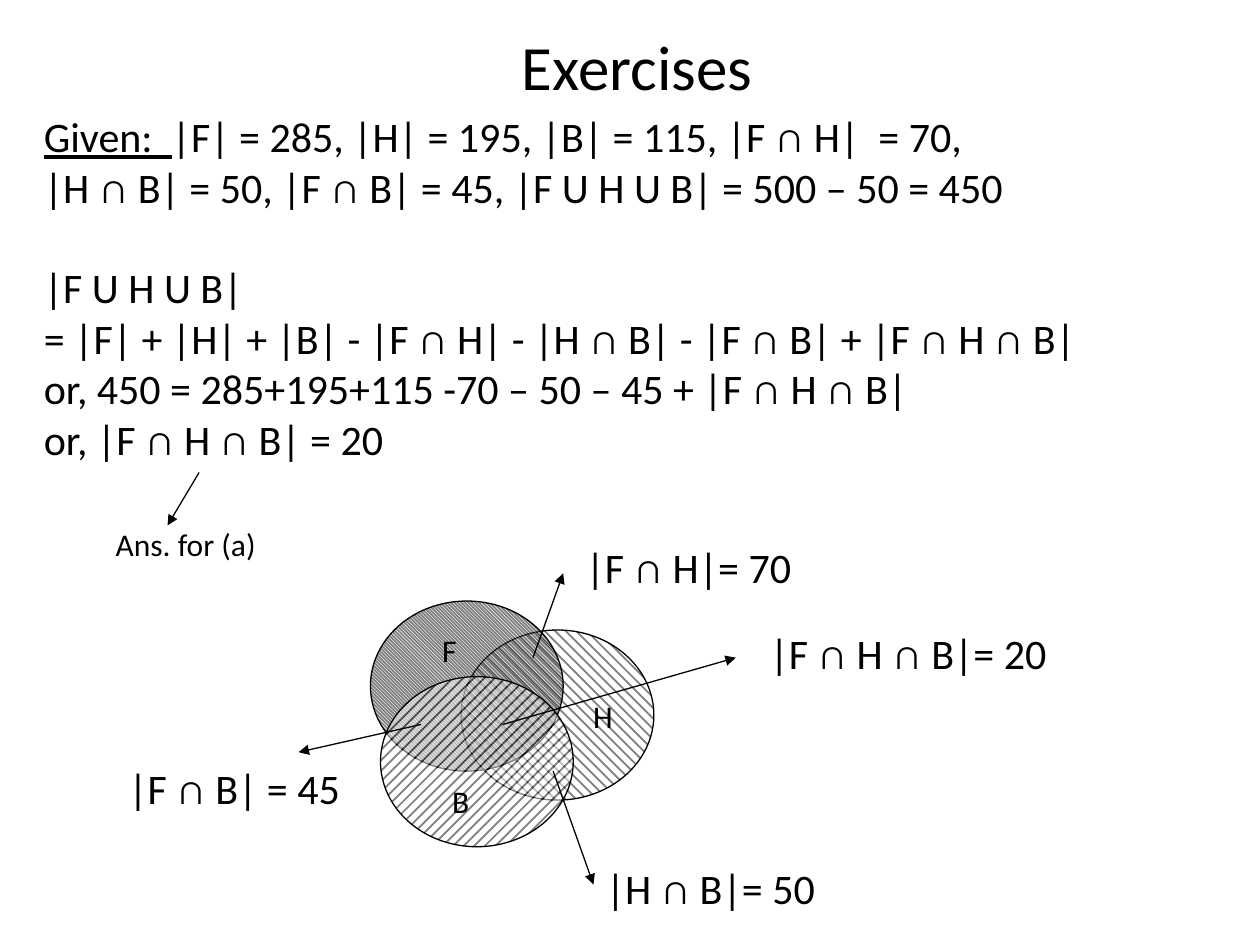
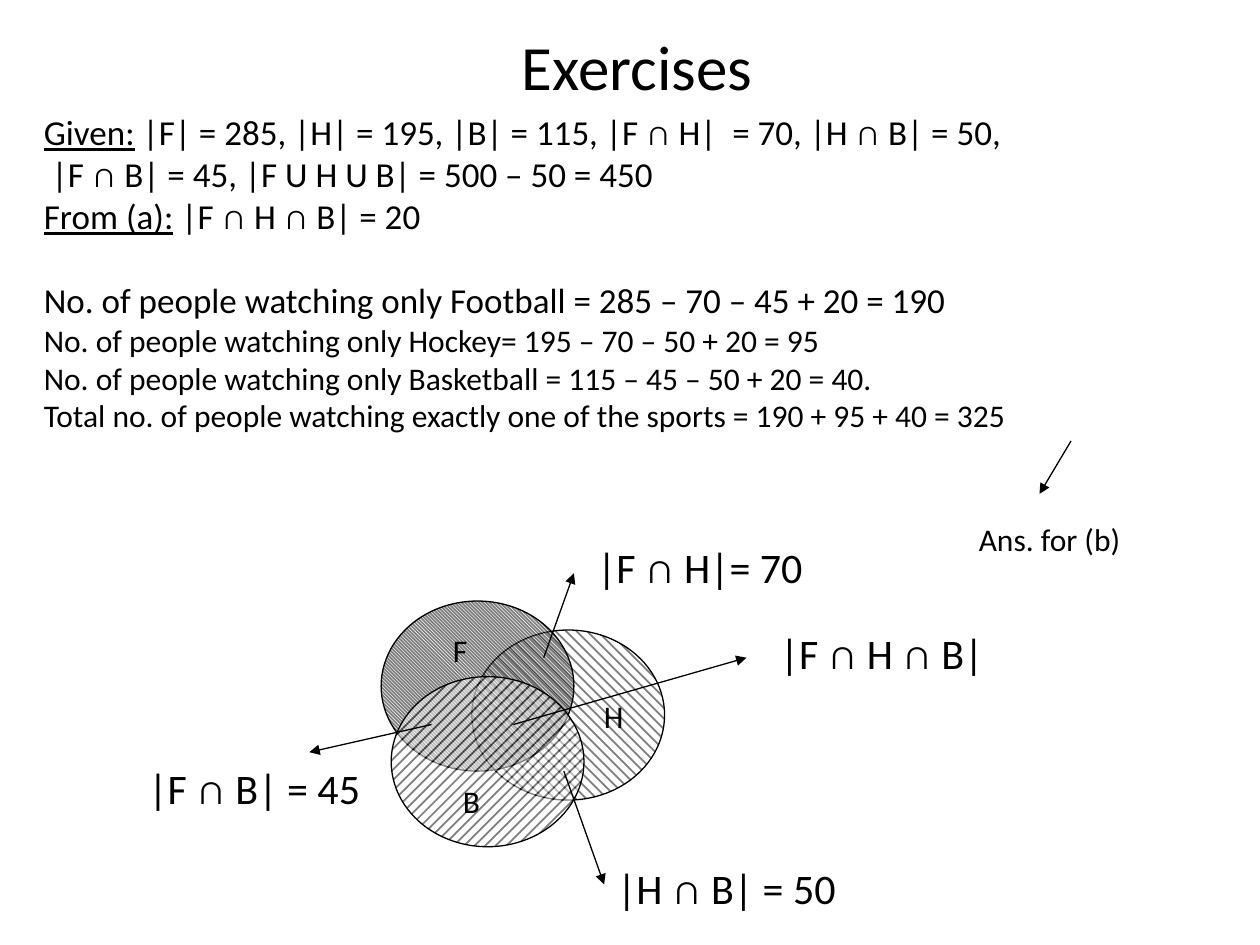
from lxml import etree
from pptx import Presentation
from pptx.dml.color import RGBColor
from pptx.enum.dml import MSO_PATTERN
from pptx.enum.shapes import MSO_CONNECTOR, MSO_SHAPE
from pptx.enum.text import MSO_ANCHOR, MSO_AUTO_SIZE, PP_ALIGN
from pptx.oxml.ns import qn
from pptx.util import Inches, Pt

OVAL = MSO_SHAPE.OVAL
STRAIGHT = MSO_CONNECTOR.STRAIGHT
CENTER = PP_ALIGN.CENTER
MIDDLE = MSO_ANCHOR.MIDDLE
FIT = MSO_AUTO_SIZE.SHAPE_TO_FIT_TEXT

COLORS = {"ink": "000000", "paper": "FFFFFF"}
INK = RGBColor.from_string(COLORS["ink"])
PAPER = RGBColor.from_string(COLORS["paper"])
FONT = "Calibri"
LINE_HEIGHT = 1.2

prs = Presentation()
prs.slide_width, prs.slide_height = Inches(10), Inches(7.5)

# Grid of 100 columns by 75 rows
COL = prs.slide_width / 100
ROW = prs.slide_height / 75

# Venn diagram shared by both slides, in columns and rows
CIRCLE_W, CIRCLE_H = 15.3, 13.5
CIRCLES = [
    (36.6, 50, MSO_PATTERN.DASHED_DOWNWARD_DIAGONAL),
    (29.4, 47.7, MSO_PATTERN.LIGHT_DOWNWARD_DIAGONAL),
    (30.2, 53.7, MSO_PATTERN.PERCENT_20),
]
SET_NAMES = [("F", 34.1, 49.6, 3.5), ("H", 46.1, 54.8, 3.8), ("B", 34.9, 61.6, 3.7)]
POINTERS = [
    (33.4, 57.5, 23.7, 59.7),
    (42.3, 52.2, 44.7, 45.5),
    (43.9, 61.2, 47.1, 70.2),
    (39.9, 57.5, 58.4, 52.2),
]

# Body lines: underlined lead, rest, size, blank line before
SLIDES = [
    {
        "lines": [
            ("Given:  ", "|F| = 285, |H| = 195, |B| = 115, |F ∩ H|  = 70,", 24, False),
            ("", "|H ∩ B| = 50, |F ∩ B| = 45, |F U H U B| = 500 – 50 = 450", 24, False),
            ("", "|F U H U B|", 24, True),
            ("", "= |F| + |H| + |B| - |F ∩ H| - |H ∩ B| - |F ∩ B| + |F ∩ H ∩ B|", 24, False),
            ("", "or, 450 = 285+195+115 -70 – 50 – 45 + |F ∩ H ∩ B|", 24, False),
            ("", "or, |F ∩ H ∩ B| = 20", 24, False),
        ],
        "body_h": 29,
        "shift": 0,
        "counts": [
            ("|F ∩ H|= 70", 45.5, 42.5, 19),
            ("|H ∩ B|= 50", 47.1, 68, 19.2),
            ("|F ∩ B| = 45", 9.2, 60, 19.7),
            ("|F ∩ H ∩ B|= 20", 60.1, 49.3, 25.5),
        ],
        "answer": ("Ans. for (a)", 8.2, 41.2, 13.4),
        "answer_arrow": (15.8, 37.5, 13.3, 41.7),
    },
    {
        "lines": [
            ("Given:", " |F| = 285, |H| = 195, |B| = 115, |F ∩ H|  = 70, |H ∩ B| = 50,", 20, False),
            ("", " |F ∩ B| = 45, |F U H U B| = 500 – 50 = 450", 20, False),
            ("From (a):", " |F ∩ H ∩ B| = 20", 20, False),
            ("", "No. of people watching only Football = 285 – 70 – 45 + 20 = 190", 20, True),
            ("", "No. of people watching only Hockey= 195 – 70 – 50 + 20 = 95", 18, False),
            ("", "No. of people watching only Basketball = 115 – 45 – 50 + 20 = 40.", 18, False),
            ("", "Total no. of people watching exactly one of the sports = 190 + 95 + 40 = 325", 18, False),
        ],
        "body_h": 26.7,
        "shift": 0.85,
        "counts": [
            ("|F ∩ H|= 70", 46.4, 42.5, 19),
            ("|H ∩ B| = 50", 48, 68, 20.1),
            ("|F ∩ B| = 45", 10.8, 60, 19.7),
            ("|F ∩ H ∩ B|", 60.9, 49.3, 18.9),
        ],
        "answer": ("Ans. for (b)", 76.7, 40.8, 13.4),
        "answer_arrow": (85, 35, 82.5, 39.2),
    },
]


def add_text(s, x, y, w, h, lines, wrap=False):
    sp = s.shapes.add_textbox(int(x * COL), int(y * ROW), int(w * COL), int(h * ROW))
    tf = sp.text_frame
    tf.word_wrap = wrap
    tf.auto_size = FIT
    for i, (lead, rest, size, gap) in enumerate(lines):
        p = tf.paragraphs[0] if i == 0 else tf.add_paragraph()
        if gap:
            p.space_before = Pt(size * LINE_HEIGHT)
        for text, underlined in ((lead, True), (rest, False)):
            if text:
                r = p.add_run()
                r.text = text
                r.font.name, r.font.size = FONT, Pt(size)
                r.font.color.rgb = INK
                r.font.underline = underlined
    return tf


def add_arrow(s, x1, y1, x2, y2):
    c = s.shapes.add_connector(STRAIGHT, int(x1 * COL), int(y1 * ROW), int(x2 * COL), int(y2 * ROW))
    c.line.color.rgb = INK
    c.line.width = Pt(0.75)
    etree.SubElement(c.line._get_or_add_ln(), qn("a:tailEnd"), type="triangle")
    etree.SubElement(c._element.spPr, qn("a:effectLst"))


for page in SLIDES:
    s = prs.slides.add_slide(prs.slide_layouts[6])
    s.background.fill.solid()
    s.background.fill.fore_color.rgb = PAPER
    dx = page["shift"]

    # Title and working
    tf = add_text(s, 5, 2.5, 90, 5.3, [("", " Exercises", 36, False)], wrap=True)
    tf.auto_size = MSO_AUTO_SIZE.NONE
    tf.vertical_anchor = MIDDLE
    tf.paragraphs[0].alignment = CENTER
    add_text(s, 2.5, 8.3, 93.3, page["body_h"], page["lines"], wrap=True)

    # Half-transparent hatched circles
    for x, y, pattern in CIRCLES:
        sp = s.shapes.add_shape(OVAL, int((x + dx) * COL), int(y * ROW), int(CIRCLE_W * COL), int(CIRCLE_H * ROW))
        sp.shadow.inherit = False
        sp.fill.patterned()
        sp.fill.pattern = pattern
        sp.fill.fore_color.rgb, sp.fill.back_color.rgb = INK, PAPER
        for color in sp._element.spPr.find(qn("a:pattFill")).iter(qn("a:srgbClr")):
            etree.SubElement(color, qn("a:alpha"), val="50000")
        sp.line.color.rgb = INK
        sp.line.width = Pt(0.75)

    # Pointers, set names and counts
    for x1, y1, x2, y2 in POINTERS:
        add_arrow(s, x1 + dx, y1, x2 + dx, y2)
    for name, x, y, w in SET_NAMES:
        add_text(s, x + dx, y, w, 4, [("", name, 18, False)])
    for count, x, y, w in page["counts"]:
        add_text(s, x, y, w, 5, [("", count, 24, False)])

    # Answer
    add_arrow(s, *page["answer_arrow"])
    answer, x, y, w = page["answer"]
    add_text(s, x, y, w, 4, [("", answer, 18, False)])

prs.save("out.pptx")
